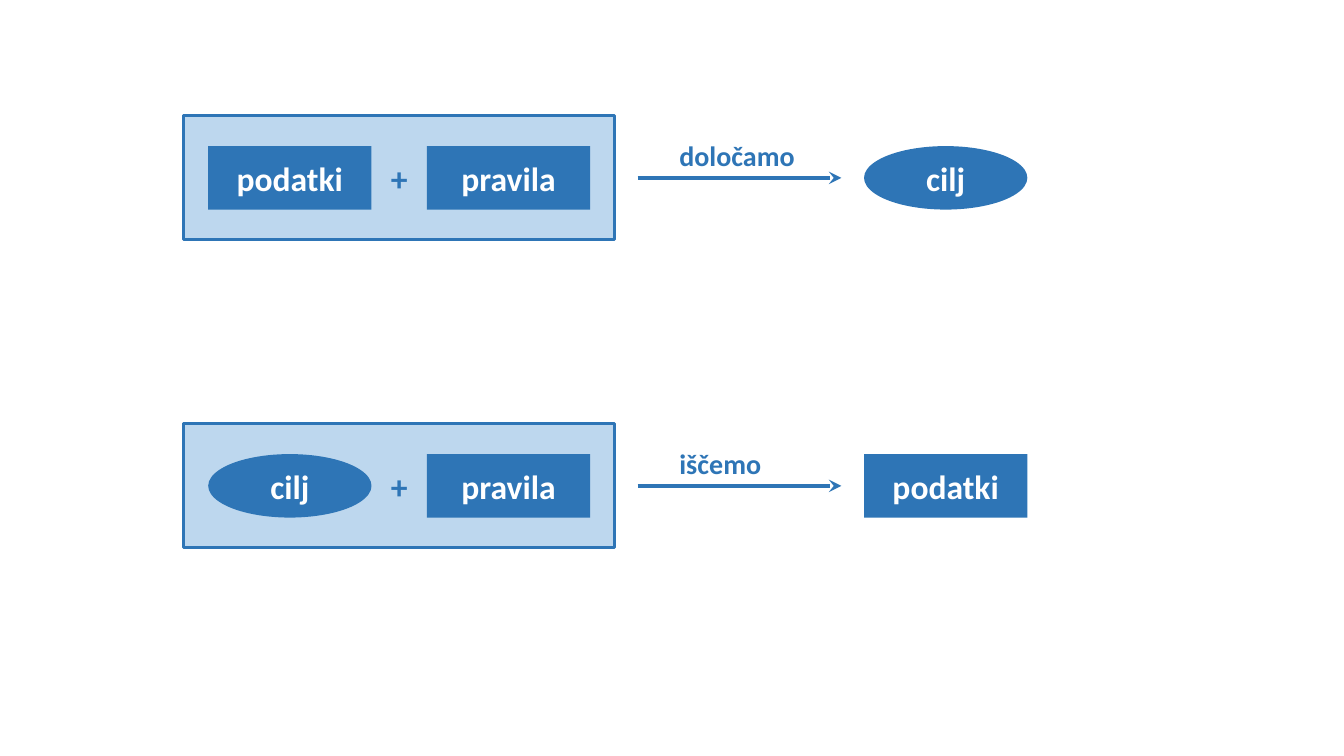
from dataclasses import dataclass

from lxml.etree import SubElement
from pptx import Presentation
from pptx.dml.color import RGBColor
from pptx.enum.shapes import MSO_CONNECTOR, MSO_SHAPE
from pptx.enum.text import MSO_ANCHOR, MSO_AUTO_SIZE, PP_ALIGN
from pptx.oxml.ns import qn
from pptx.util import Inches, Pt


@dataclass(frozen=True)
class Theme:
    font: str = "Calibri"
    blue: RGBColor = RGBColor(0x2E, 0x75, 0xB6)
    pale: RGBColor = RGBColor(0xBD, 0xD7, 0xEE)
    white: RGBColor = RGBColor(0xFF, 0xFF, 0xFF)
    part_size: Pt = Pt(24)
    label_size: Pt = Pt(20)
    border: Pt = Pt(2)
    arrow: Pt = Pt(3)


THEME = Theme()
SLIDE_WIDTH, SLIDE_HEIGHT = Inches(13.333), Inches(7.5)

# Percent of the slide's width
PANEL_LEFT, PANEL_WIDTH = 13.65, 32.1
PANEL_RIGHT = PANEL_LEFT + PANEL_WIDTH
INSET = 1.84
PART_WIDTH = 12.15
FIRST_LEFT = PANEL_LEFT + INSET
SECOND_LEFT = PANEL_RIGHT - INSET - PART_WIDTH
RESULT_LEFT = 64.29
ARROW_GAP = 1.69
LABEL_LEFT = 49.81

# Percent of the slide's height
PANEL_HEIGHT, PART_HEIGHT = 16.4, 8.4
LABEL_RISE, LABEL_HEIGHT = 5.8, 5.87

DATA = ("podatki", MSO_SHAPE.RECTANGLE)
RULES = ("pravila", MSO_SHAPE.RECTANGLE)
GOAL = ("cilj", MSO_SHAPE.OVAL)


def across(percent):
    return round(SLIDE_WIDTH * percent / 100)


def down(percent):
    return round(SLIDE_HEIGHT * percent / 100)


def write(frame, words, size, color, align):
    frame.text = words
    paragraph = frame.paragraphs[0]
    paragraph.alignment = align
    font = paragraph.font
    font.name, font.size, font.bold = THEME.font, size, True
    font.color.rgb = color


def add_block(group, kind, words, left, middle, width, height, fill, ink):
    """Add a filled shape, centred vertically on middle, with bold centred text."""
    block = group.shapes.add_shape(
        kind, across(left), down(middle - height / 2), across(width), down(height))
    block.shadow.inherit = False
    block.fill.solid()
    block.fill.fore_color.rgb = fill
    block.line.fill.background()
    block.text_frame.vertical_anchor = MSO_ANCHOR.MIDDLE
    write(block.text_frame, words, THEME.part_size, ink, PP_ALIGN.CENTER)
    return block


def add_panel(group, middle):
    panel = add_block(group, MSO_SHAPE.RECTANGLE, "+", PANEL_LEFT, middle,
                      PANEL_WIDTH, PANEL_HEIGHT, THEME.pale, THEME.blue)
    panel.line.color.rgb = THEME.blue
    panel.line.width = THEME.border


def add_part(group, part, left, middle):
    words, kind = part
    add_block(group, kind, words, left, middle,
              PART_WIDTH, PART_HEIGHT, THEME.blue, THEME.white)


def add_arrow(group, middle):
    arrow = group.shapes.add_connector(
        MSO_CONNECTOR.STRAIGHT, across(PANEL_RIGHT + ARROW_GAP), down(middle),
        across(RESULT_LEFT - ARROW_GAP), down(middle))
    arrow.line.color.rgb = THEME.blue
    arrow.line.width = THEME.arrow
    SubElement(arrow.line._get_or_add_ln(), qn("a:tailEnd"), type="stealth")
    SubElement(arrow._element.spPr, qn("a:effectLst"))


def add_label(group, words, width, middle):
    label = group.shapes.add_textbox(
        across(LABEL_LEFT), down(middle - LABEL_RISE), across(width), down(LABEL_HEIGHT))
    frame = label.text_frame
    frame.word_wrap = False
    frame.auto_size = MSO_AUTO_SIZE.SHAPE_TO_FIT_TEXT
    write(frame, words, THEME.label_size, THEME.blue, PP_ALIGN.LEFT)


def add_process(slide, middle, first, second, result, action, action_width):
    """Add one row: two inputs in a panel, a labelled arrow and the result."""
    group = slide.shapes.add_group_shape()
    add_panel(group, middle)
    for part, left in ((first, FIRST_LEFT), (second, SECOND_LEFT), (result, RESULT_LEFT)):
        add_part(group, part, left, middle)
    add_arrow(group, middle)
    add_label(group, action, action_width, middle)


def main():
    deck = Presentation()
    deck.slide_width, deck.slide_height = SLIDE_WIDTH, SLIDE_HEIGHT
    slide = deck.slides.add_slide(deck.slide_layouts[6])
    add_process(slide, 23.53, DATA, RULES, GOAL, "določamo", 10.2)
    add_process(slide, 64.27, GOAL, RULES, DATA, "iščemo", 7.65)
    deck.save("out.pptx")


if __name__ == "__main__":
    main()
